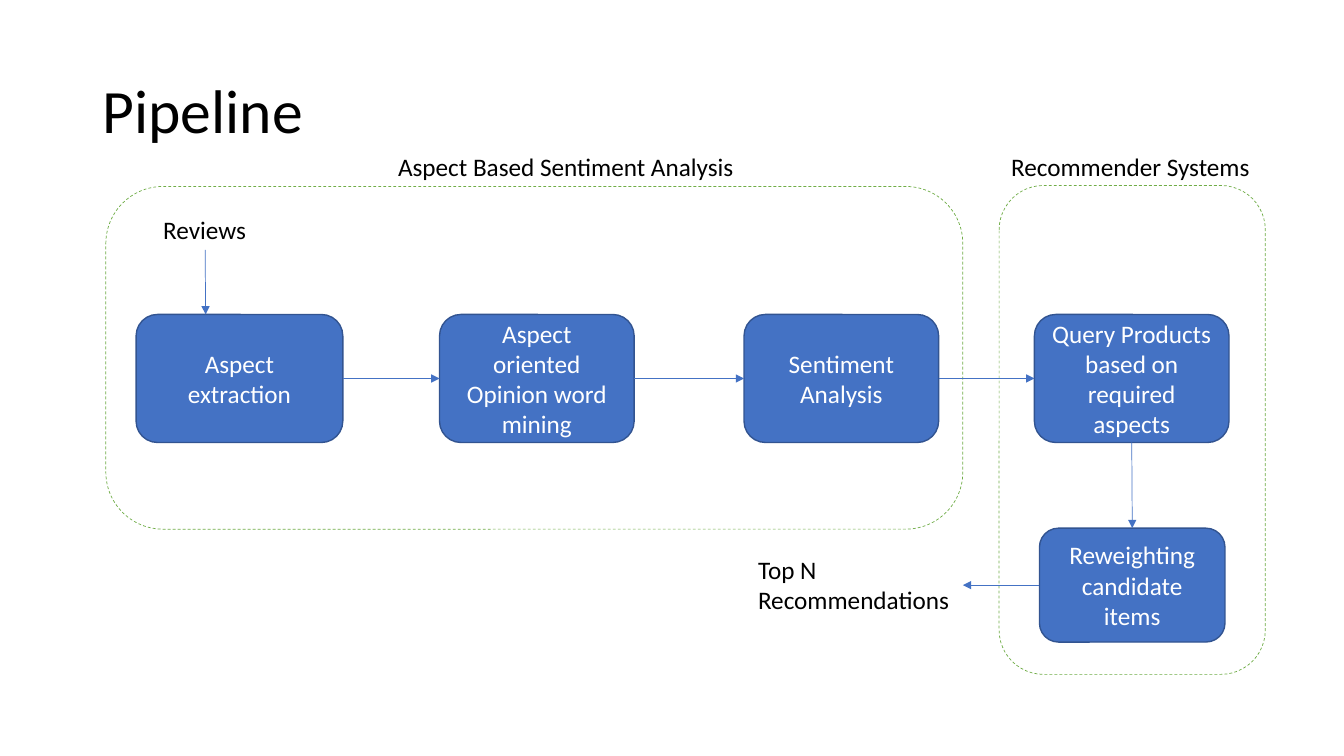
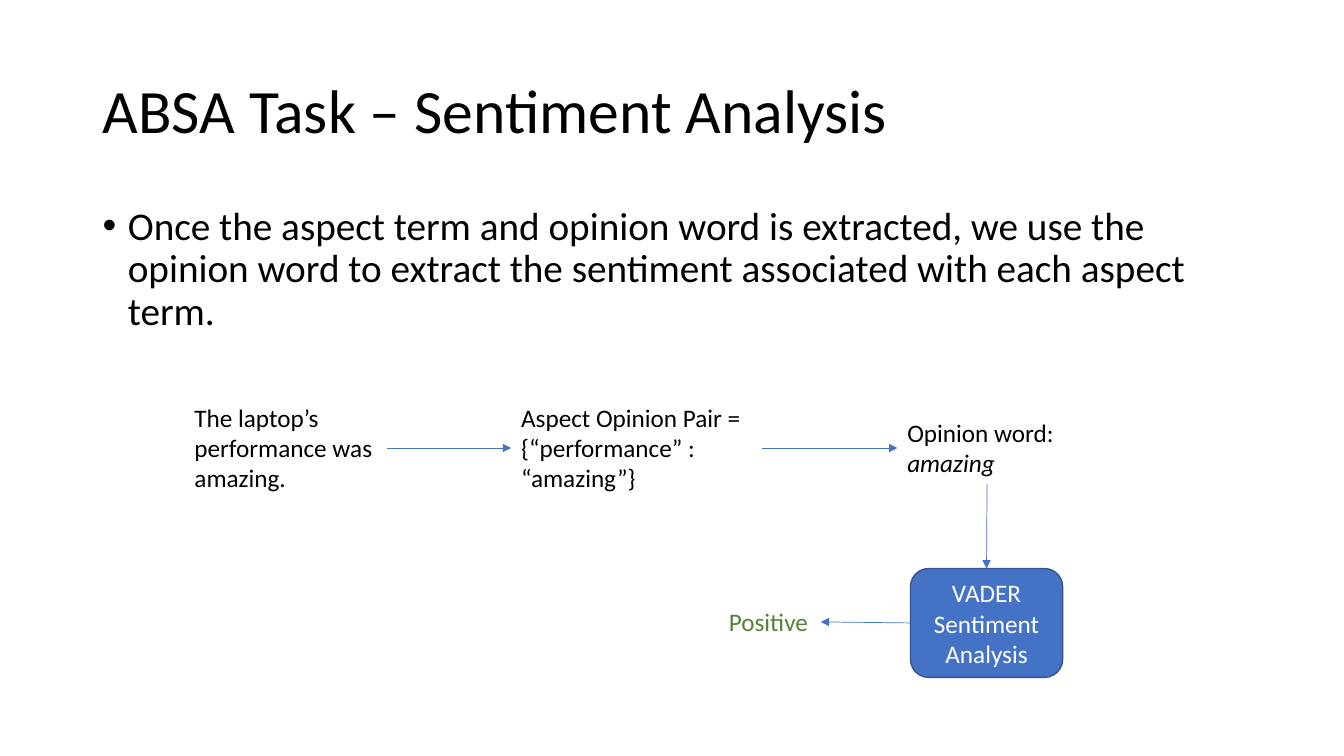
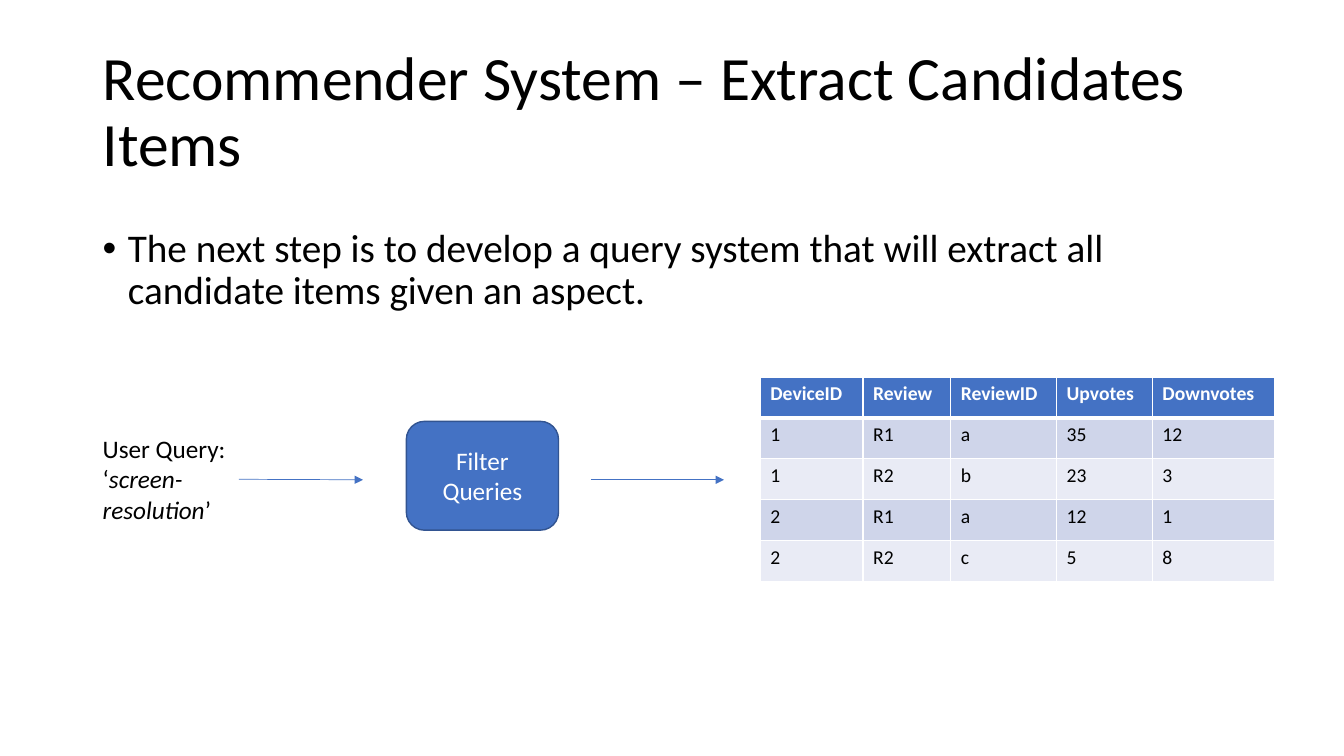
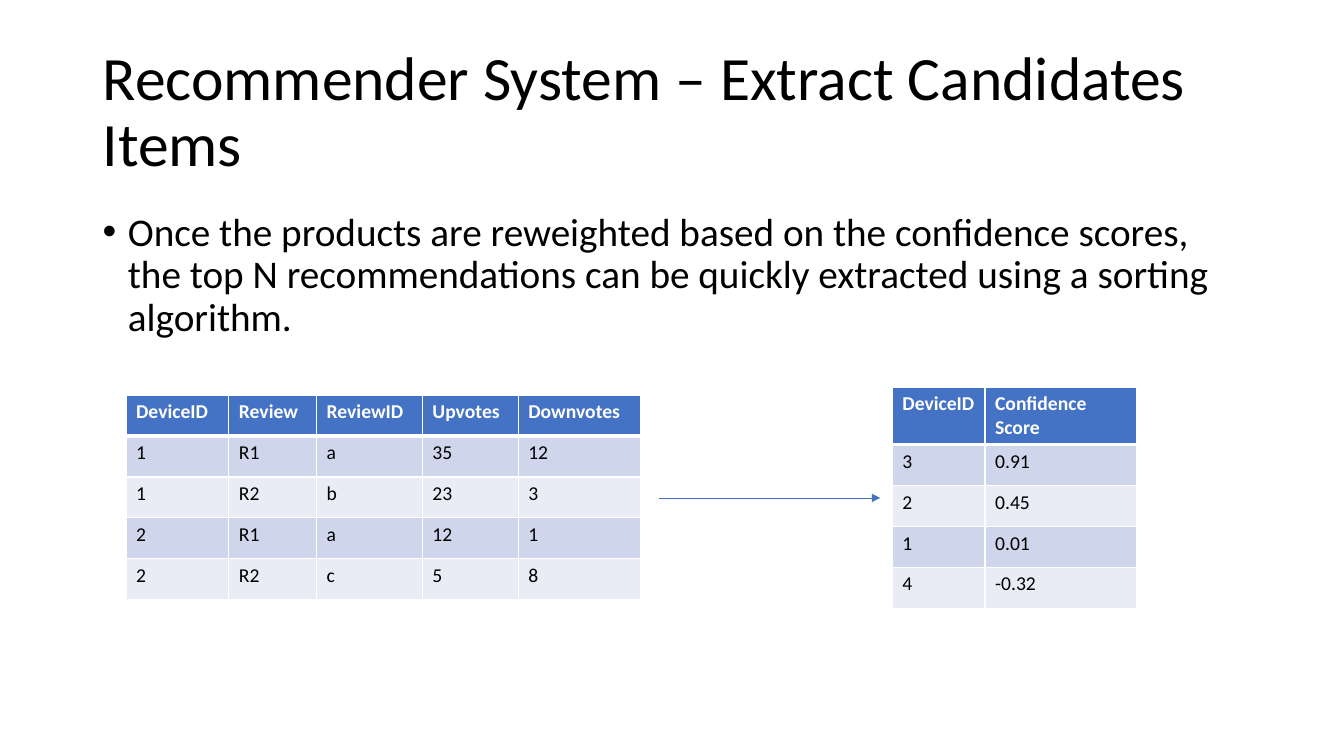
from dataclasses import dataclass

from lxml import etree
from pptx import Presentation, util as u
from pptx.dml.color import RGBColor
from pptx.enum import dml, shapes, text
from pptx.oxml import ns

PX = 9144  # EMU per px, 100 px to the inch


@dataclass(frozen=True)
class Theme:
    font: str = "Calibri"
    title: int = 44
    body: int = 28
    label: int = 18
    cell: int = 14
    hairline: float = 0.5
    outline: float = 1
    ink: str = "000000"
    white: str = "FFFFFF"
    blue: str = "4472C4"
    blue_edge: str = "325491"
    green: str = "70AD47"
    dark_green: str = "548235"
    bands: tuple = ("CFD5EA", "E9EBF5")


THEME = Theme()
TOP, LEFT, BOTTOM, RIGHT = range(4)
TITLE_AREA = (92, 40, 1150, 145)
TABLE_HEIGHT, TABLE_ROWS = 203, 5

# ---- Content: areas are left, top, width, height in px ----
# A label's text is a list of (words, italic) runs.
# A link joins (name, side) pairs or plain (x, y) points given as lists.
REVIEW_TABLE = dict(
    columns=[102, 87, 105, 95, 121],
    rows=[
        ("DeviceID", "Review", "ReviewID", "Upvotes", "Downvotes"),
        ("1", "R1", "a", "35", "12"),
        ("1", "R2", "b", "23", "3"),
        ("2", "R1", "a", "12", "1"),
        ("2", "R2", "c", "5", "8"),
    ],
)
SCORE_TABLE = dict(
    columns=[92, 150],
    header=57,
    rows=[
        ("DeviceID", "Confidence Score"),
        ("3", "0.91"),
        ("2", "0.45"),
        ("1", "0.01"),
        ("4", "-0.32"),
    ],
)
CANDIDATES_TITLE = "Recommender System – Extract Candidates Items"

SLIDES = [
    dict(
        title="Pipeline",
        frames=[(105, 185, 850, 340), (991, 184, 264, 485)],
        boxes={
            "extract": ("Aspect extraction", (135, 312, 205, 127)),
            "mine": ("Aspect oriented Opinion word mining", (436, 312, 193, 127)),
            "sentiment": ("Sentiment Analysis", (738, 312, 193, 127)),
            "query": ("Query Products based on required aspects", (1026, 312, 193, 127)),
            "reweight": ("Reweighting candidate items", (1031, 524, 184, 113)),
        },
        labels={
            "reviews": ([("Reviews", False)], (152, 208, 103, 40)),
            "top": ([("Top N Recommendations", False)], (742, 545, 213, 71)),
            "absa": ([("Aspect Based Sentiment Analysis", False)], (385, 145, 357, 40)),
            "recommender": ([("Recommender Systems", False)], (993, 145, 259, 40)),
        },
        links=[
            (("extract", RIGHT), ("mine", LEFT)),
            (("mine", RIGHT), ("sentiment", LEFT)),
            (("sentiment", RIGHT), ("query", LEFT)),
            (("reviews", BOTTOM), [204, 312]),
            (("query", BOTTOM), ("reweight", TOP)),
            (("reweight", LEFT), ("top", RIGHT)),
        ],
    ),
    dict(
        title="ABSA Task – Sentiment Analysis",
        body=("Once the aspect term and opinion word is extracted, we use the opinion word "
              "to extract the sentiment associated with each aspect term.",
              (92, 200, 1150, 254)),
        boxes={"vader": ("VADER Sentiment Analysis", (903, 564, 151, 108))},
        labels={
            "opinion": ([("Opinion word: ", False), ("amazing", True)], (890, 409, 178, 71)),
            "positive": ([("Positive", False)], (713, 597, 101, 40), THEME.dark_green),
            "sentence": ([("The laptop’s performance was amazing.", False)],
                         (183, 394, 201, 101)),
            "pair": ([("Aspect Opinion Pair = {“performance” : “amazing”}", False)],
                     (507, 394, 249, 101)),
        },
        links=[
            (("sentence", RIGHT), ("pair", LEFT)),
            (("pair", RIGHT), ("opinion", LEFT)),
            (("opinion", BOTTOM), ("vader", TOP)),
            (("vader", LEFT), ("positive", RIGHT)),
        ],
    ),
    dict(
        title=CANDIDATES_TITLE,
        body=("The next step is to develop a query system that will extract all candidate "
              "items given an aspect.", (92, 222, 1150, 136)),
        boxes={"filter": ("Filter Queries", (403, 418, 151, 108))},
        labels={
            "user": ([("User Query: ‘", False), ("screen-resolution", True), ("’", False)],
                     (92, 425, 145, 101)),
        },
        links=[(("user", RIGHT), [360, 476]), ([586, 476], [718, 476])],
        tables=[(REVIEW_TABLE, 754, 374)],
    ),
    dict(
        title=CANDIDATES_TITLE,
        body=("Once the products are reweighted based on the confidence scores, the top N "
              "recommendations can be quickly extracted using a sorting algorithm.",
              (92, 206, 1150, 136)),
        links=[([654, 494], [873, 494])],
        tables=[(REVIEW_TABLE, 125, 392), (SCORE_TABLE, 885, 384)],
    ),
]


# ---- Helpers ----
def emu(lengths):
    return [u.Emu(length * PX) for length in lengths]


def add_xml(parent, tag, **attributes):
    return etree.SubElement(parent, ns.qn(tag), attributes)


def write(para, words, size, color=THEME.ink, bold=False, italic=False):
    span = para.add_run()
    span.text = words
    span.font.name = THEME.font
    span.font.size = u.Pt(size)
    span.font.bold = bold
    span.font.italic = italic
    span.font.color.rgb = RGBColor.from_string(color)


def add_text(page, area, runs, size, color=THEME.ink):
    box = page.shapes.add_textbox(*emu(area))
    box.text_frame.word_wrap = True
    para = box.text_frame.paragraphs[0]
    for words, italic in runs:
        write(para, words, size, color, italic=italic)
    return box


def add_title(page, words):
    frame = add_text(page, TITLE_AREA, [(words, False)], THEME.title).text_frame
    frame.vertical_anchor = text.MSO_ANCHOR.MIDDLE
    frame.paragraphs[0].line_spacing = 0.9


def add_body(page, words, area):
    box = add_text(page, area, [(words, False)], THEME.body)
    para = box.text_frame.paragraphs[0]
    para.line_spacing = 0.9
    props = para._p.get_or_add_pPr()
    props.set("marL", str(25 * PX))
    props.set("indent", str(-25 * PX))
    add_xml(props, "a:buFont", typeface="Arial")
    add_xml(props, "a:buChar", char="•")


def add_label(page, runs, area, color=THEME.ink):
    box = add_text(page, area, runs, THEME.label, color)
    single_line = area[3] == 40
    box.text_frame.word_wrap = not single_line
    box.text_frame.auto_size = text.MSO_AUTO_SIZE.SHAPE_TO_FIT_TEXT
    return box


def add_rounded(page, area, edge, weight):
    box = page.shapes.add_shape(shapes.MSO_SHAPE.ROUNDED_RECTANGLE, *emu(area))
    box.shadow.inherit = False
    box.line.color.rgb = RGBColor.from_string(edge)
    box.line.width = u.Pt(weight)
    return box


def add_frame(page, area):
    box = add_rounded(page, area, THEME.green, THEME.hairline)
    box.fill.background()
    box.line.dash_style = dml.MSO_LINE.DASH


def add_step(page, words, area):
    box = add_rounded(page, area, THEME.blue_edge, THEME.outline)
    box.fill.solid()
    box.fill.fore_color.rgb = RGBColor.from_string(THEME.blue)
    box.text_frame.word_wrap = True
    box.text_frame.vertical_anchor = text.MSO_ANCHOR.MIDDLE
    para = box.text_frame.paragraphs[0]
    para.alignment = text.PP_ALIGN.CENTER
    write(para, words, THEME.label, THEME.white)
    return box


def add_arrow(page, start, end, parts):
    points = [emu(spot) if isinstance(spot, list) else [0, 0] for spot in (start, end)]
    arrow = page.shapes.add_connector(shapes.MSO_CONNECTOR.STRAIGHT, *points[0], *points[1])
    for spot, connect in ((start, arrow.begin_connect), (end, arrow.end_connect)):
        if isinstance(spot, tuple):
            name, side = spot
            connect(parts[name], side)
    arrow.line.color.rgb = RGBColor.from_string(THEME.blue)
    arrow.line.width = u.Pt(THEME.hairline)
    add_xml(arrow.line._get_or_add_ln(), "a:tailEnd", type="triangle")
    add_xml(arrow._element.spPr, "a:effectLst")


def style_cell(cell, words, row):
    header = row == 0
    props = cell._tc.get_or_add_tcPr()
    for side in "LRTB":
        thick = (header and side == "B") or (row == 1 and side == "T")
        line = add_xml(props, f"a:ln{side}", w=str(u.Pt(3 if thick else 1)))
        add_xml(add_xml(line, "a:solidFill"), "a:srgbClr", val=THEME.white)
    fill = THEME.blue if header else THEME.bands[(row - 1) % 2]
    cell.fill.solid()
    cell.fill.fore_color.rgb = RGBColor.from_string(fill)
    write(cell.text_frame.paragraphs[0], words, THEME.cell,
          THEME.white if header else THEME.ink, bold=header)


def add_grid(page, data, left, top):
    rows, columns = data["rows"], data["columns"]
    area = (left, top, sum(columns), TABLE_HEIGHT)
    table = page.shapes.add_table(len(rows), len(columns), *emu(area)).table
    for column, width in zip(table.columns, emu(columns)):
        column.width = width
    for row in table.rows:
        row.height = u.Emu(TABLE_HEIGHT * PX // TABLE_ROWS)
    if "header" in data:
        table.rows[0].height = u.Emu(data["header"] * PX)
    for i, row in enumerate(rows):
        for j, words in enumerate(row):
            style_cell(table.cell(i, j), words, i)


# ---- Build ----
def build_slide(deck, content):
    page = deck.slides.add_slide(deck.slide_layouts[6])
    add_title(page, content["title"])
    if "body" in content:
        add_body(page, *content["body"])
    for area in content.get("frames", []):
        add_frame(page, area)
    parts = {}
    for name, step in content.get("boxes", {}).items():
        parts[name] = add_step(page, *step)
    for name, label in content.get("labels", {}).items():
        parts[name] = add_label(page, *label)
    for table in content.get("tables", []):
        add_grid(page, *table)
    for start, end in content["links"]:
        add_arrow(page, start, end, parts)


def main():
    deck = Presentation()
    deck.slide_width, deck.slide_height = u.Inches(13.33), u.Inches(7.5)
    for content in SLIDES:
        build_slide(deck, content)
    deck.save("out.pptx")


if __name__ == "__main__":
    main()
